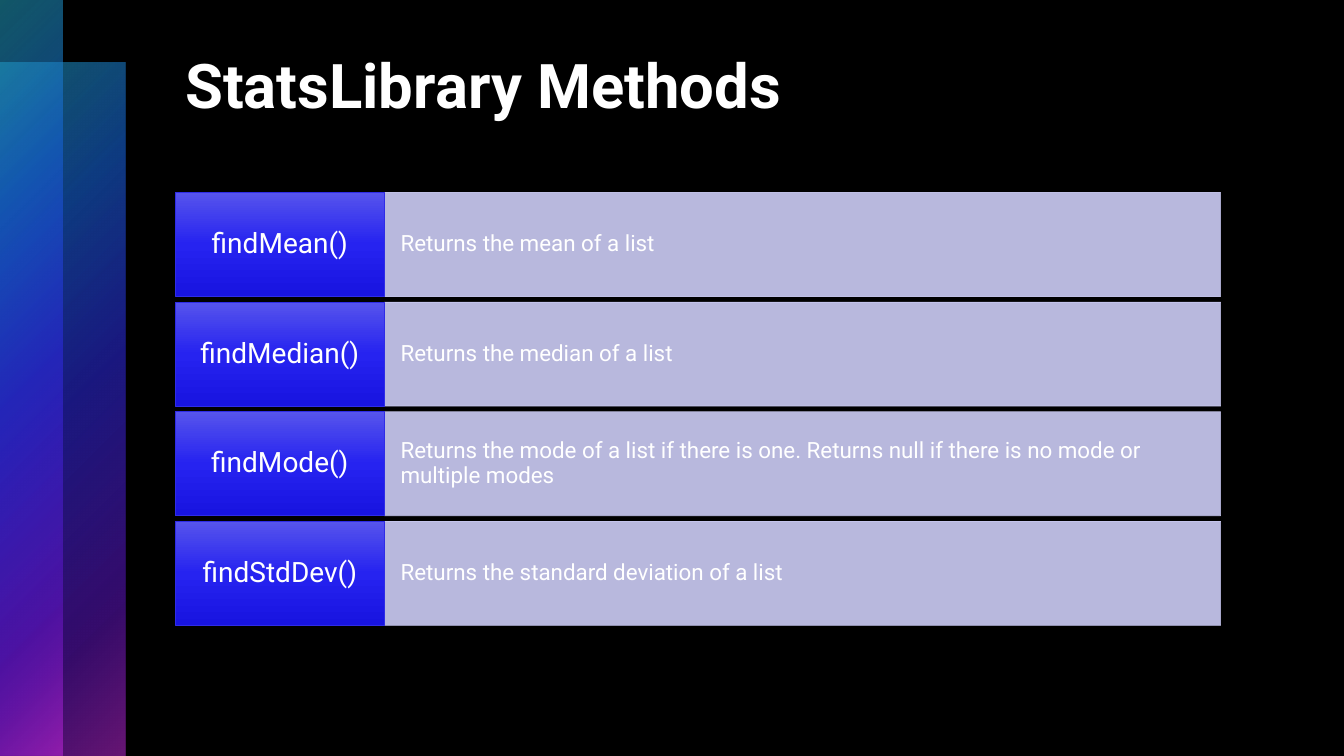
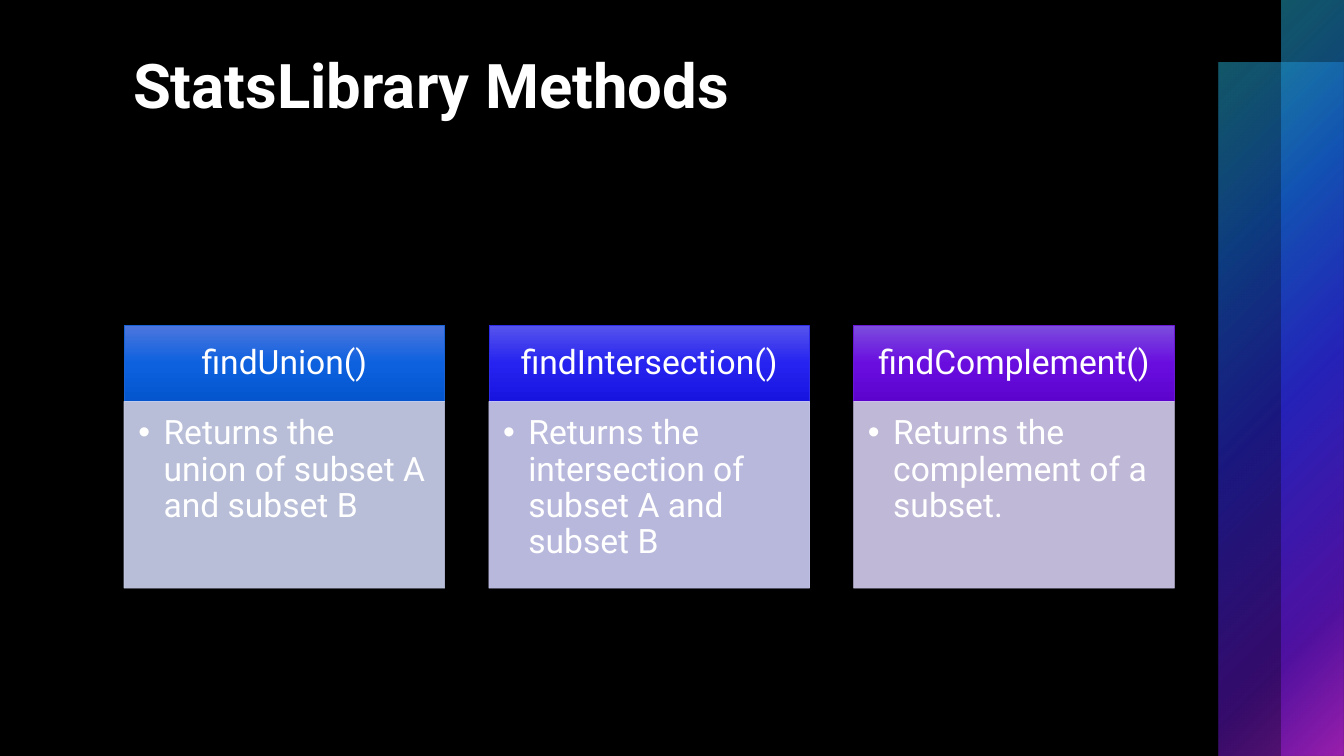
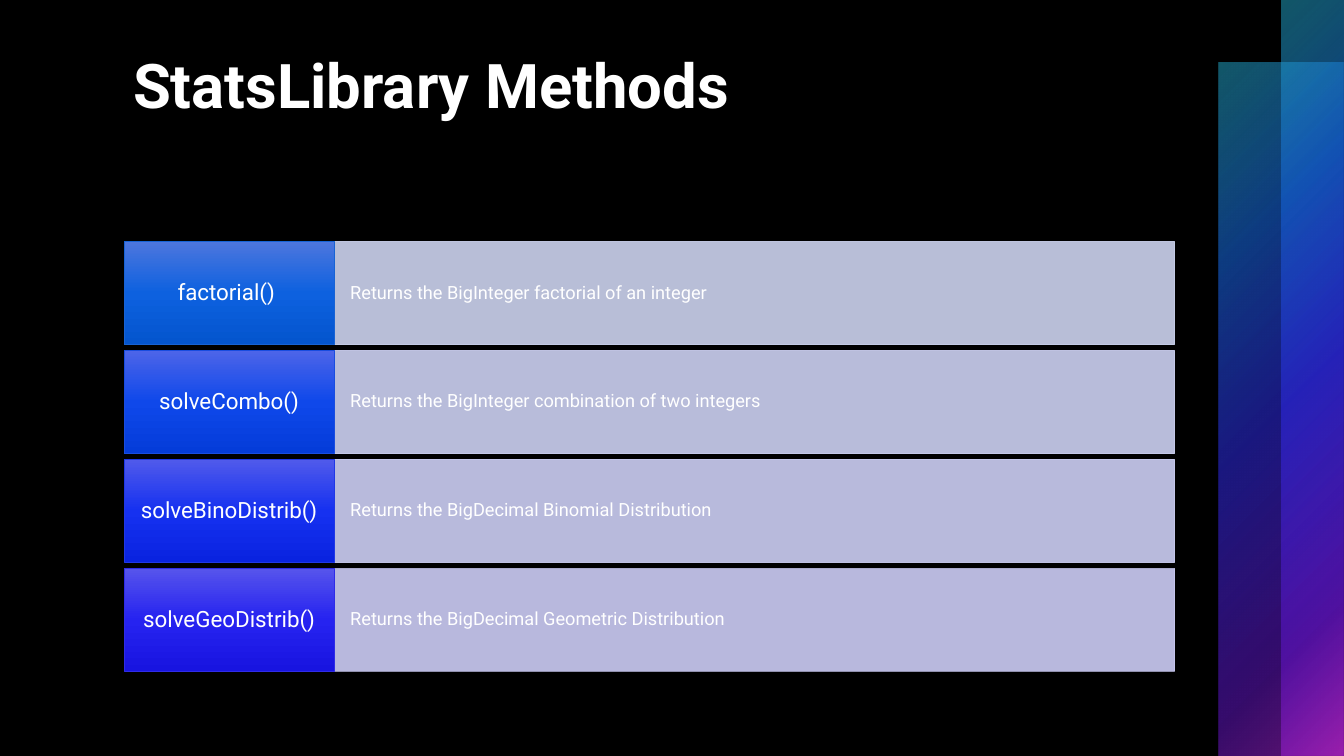
import pptx
import pptx.util
import pptx.dml.color
import pptx.enum.shapes
import pptx.enum.text
import pptx.oxml
import pptx.oxml.ns

Pt = pptx.util.Pt
RGB = pptx.dml.color.RGBColor
qn = pptx.oxml.ns.qn
ALIGN = pptx.enum.text.PP_ALIGN
ANCHOR = pptx.enum.text.MSO_ANCHOR
RECT = pptx.enum.shapes.MSO_SHAPE.RECTANGLE

WIDE, HIGH = 960, 540
BAND = 44.7
FONT = "Roboto"
BLACK = RGB(0x00, 0x00, 0x00)
WHITE = RGB(0xFF, 0xFF, 0xFF)
AQUA = RGB(0x25, 0xAE, 0xCE)
BLUE = RGB(0x17, 0x63, 0xD5)
ROYAL = RGB(0x19, 0x4D, 0xE0)
COBALT = RGB(0x20, 0x38, 0xE6)
INDIGO = RGB(0x2F, 0x2C, 0xE7)
VIOLET = RGB(0x6A, 0x17, 0xD5)
PINK = RGB(0xCB, 0x29, 0xE7)

GLOW = [(0, AQUA, 50), (25, BLUE, 60), (50, INDIGO, 55),
        (81, VIOLET, 50), (99, PINK, 50)]

# Each accent has three gradient colours and a pale partner.
TONES = {
    BLUE: ([RGB(0x4D, 0x76, 0xDE), RGB(0x0D, 0x61, 0xDF), RGB(0x04, 0x55, 0xCE)],
           RGB(0xCC, 0xD3, 0xEF)),
    ROYAL: ([RGB(0x4D, 0x65, 0xE9), RGB(0x0F, 0x48, 0xEA), RGB(0x04, 0x3C, 0xD9)],
            RGB(0xCD, 0xD1, 0xF2)),
    COBALT: ([RGB(0x50, 0x5A, 0xEB), RGB(0x16, 0x31, 0xF0), RGB(0x09, 0x23, 0xE0)],
             RGB(0xCD, 0xCF, 0xF4)),
    INDIGO: ([RGB(0x56, 0x54, 0xEC), RGB(0x26, 0x23, 0xF0), RGB(0x18, 0x14, 0xE0)],
             RGB(0xCD, 0xCD, 0xF6)),
    VIOLET: ([RGB(0x7C, 0x4D, 0xDE), RGB(0x69, 0x0D, 0xDF), RGB(0x5C, 0x04, 0xCE)],
             RGB(0xD4, 0xCC, 0xEF)),
}


def node(base, tag, **attrs):
    """Append an XML child with the given attributes."""
    child = pptx.oxml.parse_xml(f"<{tag} {pptx.oxml.ns.nsdecls('a')}/>")
    for key, value in attrs.items():
        child.set(key, str(value))
    base.append(child)
    return child


def blend(shape, stops, round=False):
    """Fill with (place, colour, opacity) stops, downwards or from the top left."""
    shape.fill.gradient()
    grad = shape._element.spPr.find(qn("a:gradFill"))
    for child in list(grad):
        grad.remove(child)
    group = node(grad, "a:gsLst")
    for place, color, alpha in stops:
        stop = node(group, "a:gs", pos=place * 1000)
        tint = node(stop, "a:srgbClr", val=color)
        if alpha < 100:
            node(tint, "a:alpha", val=alpha * 1000)
    if round:
        way = node(grad, "a:path", path="circle")
        node(way, "a:fillToRect", r=100000, b=100000)
    else:
        node(grad, "a:lin", ang=5400000, scaled=0)


def box(slide, left, top, width, height):
    shape = slide.shapes.add_shape(RECT, Pt(left), Pt(top), Pt(width), Pt(height))
    shape.shadow.inherit = False
    shape.line.fill.background()
    return shape


def edge(shape, color):
    shape.line.color.rgb = color
    shape.line.width = Pt(0.5)


def dark(shape, tone):
    colors = TONES[tone][0]
    blend(shape, [(50 * i, color, 100) for i, color in enumerate(colors)])
    edge(shape, tone)


def pale(shape, tone):
    color = TONES[tone][1]
    shape.fill.solid()
    shape.fill.fore_color.rgb = color
    edge(shape, color)
    for tint in shape._element.spPr.iter(qn("a:srgbClr")):
        node(tint, "a:alpha", val=90000)


def write(shape, text, size, pads, align=ALIGN.LEFT, anchor=ANCHOR.MIDDLE,
          bold=False, dot=False):
    """Set one paragraph; pads are left, top, right and bottom."""
    frame = shape.text_frame
    frame.word_wrap = True
    frame.vertical_anchor = anchor
    (frame.margin_left, frame.margin_top,
     frame.margin_right, frame.margin_bottom) = map(Pt, pads)
    para = frame.paragraphs[0]
    para.alignment = align
    para.line_spacing = 0.9
    if dot:
        props = para._p.get_or_add_pPr()
        props.set("marL", str(Pt(18)))
        props.set("indent", str(-Pt(18)))
        node(props, "a:buFont", typeface="Arial")
        node(props, "a:buChar", char="•")
    run = para.add_run()
    run.text = text
    run.font.name = FONT
    run.font.size = Pt(size)
    run.font.bold = bold
    run.font.color.rgb = WHITE


def page(deck, left, right=True):
    """Add a slide with its title and two bands at one side."""
    slide = deck.slides.add_slide(deck.slide_layouts[6])
    slide.background.fill.solid()
    slide.background.fill.fore_color.rgb = BLACK
    wide = box(slide, WIDE - 2 * BAND if right else 0, BAND, 2 * BAND, HIGH - BAND)
    slim = box(slide, WIDE - BAND if right else 0, 0, BAND, HIGH)
    for band in (wide, slim):
        blend(band, GLOW, round=True)
    title = slide.shapes.add_textbox(Pt(left), Pt(36), Pt(746.6), Pt(92))
    write(title, "StatsLibrary Methods", 44, (7.2, 3.6, 7.2, 3.6),
          anchor=ANCHOR.TOP, bold=True)
    return slide


def rows(slide, left, top, width, height, gap, sizes, items):
    """Stack rows: a name in the first fifth, its meaning in the rest."""
    part = width / 5
    for i, (name, text, tone) in enumerate(items):
        y = top + i * (height + gap)
        body = box(slide, left + part, y, width - part, height)
        pale(body, tone)
        write(body, text, sizes[1], (11.5, 18.7, 11.5, 18.7))
        head = box(slide, left, y, part, height)
        dark(head, tone)
        write(head, name, sizes[0], (7.9, 7.2, 7.9, 7.2), ALIGN.CENTER)


def cards(slide, left, top, width, gap, items):
    tall, deep = 54.4, 133.3
    for i, (name, text, tone) in enumerate(items):
        x = left + i * (width + gap)
        head = box(slide, x, top, width, tall)
        dark(head, tone)
        write(head, name, 24, (13.6, 7.8, 13.6, 7.8), ALIGN.CENTER)
        body = box(slide, x, top + tall, width, deep)
        pale(body, tone)
        write(body, text, 24, (10.2, 10.2, 13.6, 15.4),
              anchor=ANCHOR.TOP, dot=True)


def main():
    deck = pptx.Presentation()
    deck.slide_width, deck.slide_height = Pt(WIDE), Pt(HIGH)

    slide = page(deck, 125.3, right=False)
    rows(slide, 125.3, 137.6, 746.6, 74.2, 4.1, (20, 16), [
        ("findMean()", "Returns the mean of a list", INDIGO),
        ("findMedian()", "Returns the median of a list", INDIGO),
        ("findMode()", "Returns the mode of a list if there is one. "
         "Returns null if there is no mode or multiple modes", INDIGO),
        ("findStdDev()", "Returns the standard deviation of a list", INDIGO),
    ])

    slide = page(deck, 88)
    cards(slide, 88.6, 232.4, 229, 31.6, [
        ("findUnion()", "Returns the union of subset A and subset B", BLUE),
        ("findIntersection()",
         "Returns the intersection of subset A and subset B", INDIGO),
        ("findComplement()", "Returns the complement of a subset.", VIOLET),
    ])

    slide = page(deck, 88)
    rows(slide, 88.6, 172.6, 750.4, 73.6, 4.2, (16, 13), [
        ("factorial() ", "Returns the BigInteger factorial of an integer", BLUE),
        ("solveCombo()",
         "Returns the BigInteger combination of two integers", ROYAL),
        ("solveBinoDistrib()",
         "Returns the BigDecimal Binomial Distribution", COBALT),
        ("solveGeoDistrib()",
         "Returns the BigDecimal Geometric Distribution", INDIGO),
    ])

    deck.save("out.pptx")


if __name__ == "__main__":
    main()
